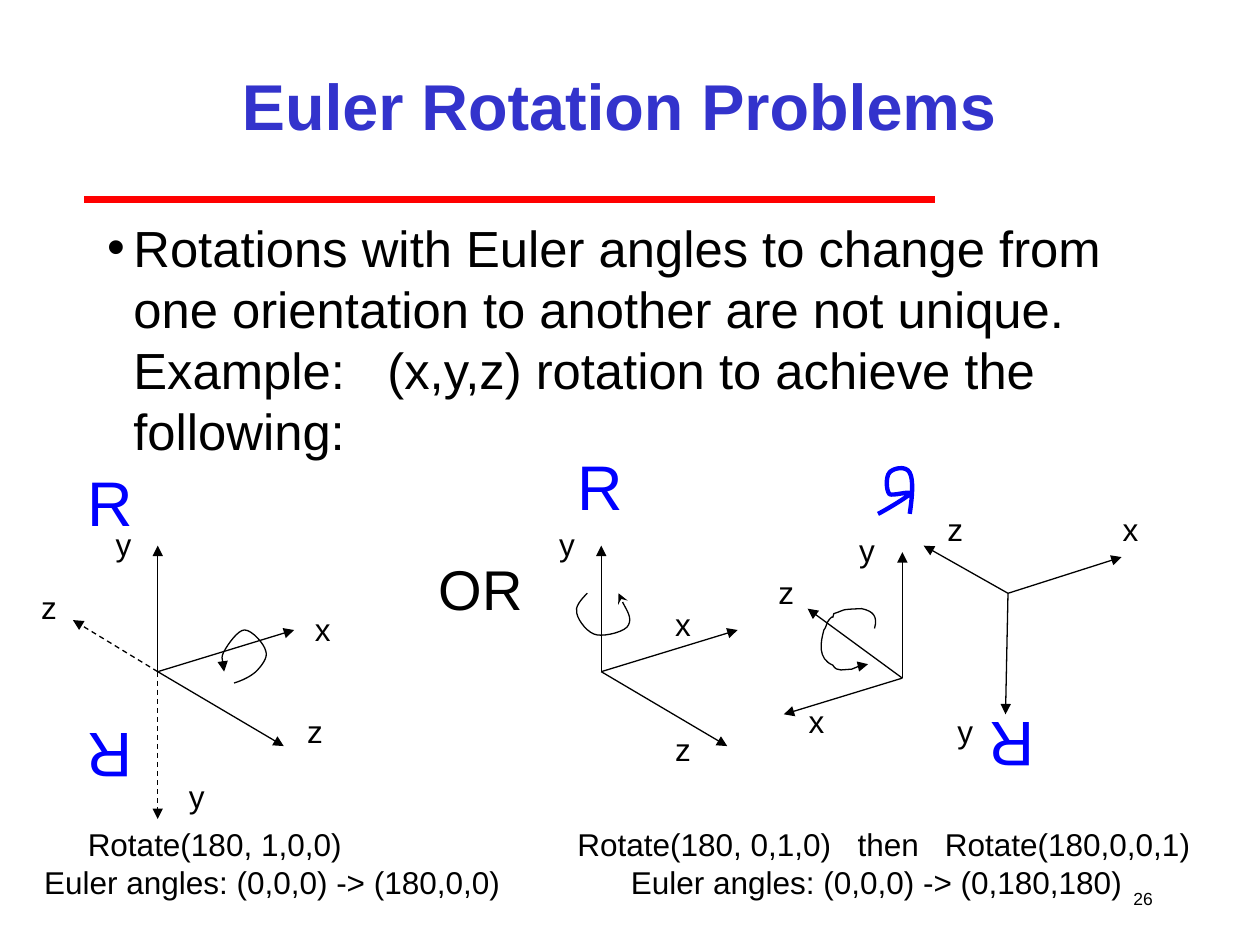
from lxml import etree
from pptx import Presentation
from pptx.dml.color import RGBColor
from pptx.enum.dml import MSO_LINE
from pptx.enum.shapes import MSO_CONNECTOR
from pptx.enum.text import MSO_ANCHOR, MSO_AUTO_SIZE, PP_ALIGN
from pptx.oxml.ns import qn
from pptx.util import Cm, Pt

STRAIGHT = MSO_CONNECTOR.STRAIGHT
DASH = MSO_LINE.DASH
TOP, MIDDLE = MSO_ANCHOR.TOP, MSO_ANCHOR.MIDDLE
LEFT, CENTER, RIGHT = PP_ALIGN.LEFT, PP_ALIGN.CENTER, PP_ALIGN.RIGHT
GROW = MSO_AUTO_SIZE.SHAPE_TO_FIT_TEXT
INK = {"black": "000000", "title": "3333CC", "red": "FF0000", "blue": "0000FF"}


class Deck:
    font = "Arial"
    thin = 0.75

    def __init__(self, slide):
        self.slide = slide
        self.shapes = slide.shapes

    def text(self, box, text, size, ink="black", bold=False,
             align=LEFT, anchor=TOP, wrap=True):
        shape = self.shapes.add_textbox(*map(Cm, box))
        frame = shape.text_frame
        frame.text = text
        frame.word_wrap = wrap
        frame.vertical_anchor = anchor
        for para in frame.paragraphs:
            para.alignment = align
            for run in para.runs:
                run.font.name = self.font
                run.font.size = Pt(size)
                run.font.bold = bold
                run.font.color.rgb = RGBColor.from_string(INK[ink])
        return shape

    def label(self, text, x, y, wide=0.81, high=1.02, size=18,
              ink="black", turn=0):
        shape = self.text((x, y, wide, high), text, size, ink, wrap=False)
        shape.text_frame.auto_size = GROW
        shape.rotation = turn

    def tabs(self, para, stops):
        props = para._p.get_or_add_pPr()
        tabs = etree.SubElement(props, qn("a:tabLst"))
        for stop in stops:
            etree.SubElement(tabs, qn("a:tab"), pos=str(Cm(stop)), algn="l")

    def bullet(self, para, indent):
        props = para._p.get_or_add_pPr()
        props.set("marL", str(Cm(indent)))
        props.set("indent", str(-Cm(indent)))
        etree.SubElement(props, qn("a:buFont"), typeface=self.font)
        etree.SubElement(props, qn("a:buChar"), char="•")

    def stroke(self, shape, ink, width, head=None, dash=None):
        shape.line.color.rgb = RGBColor.from_string(INK[ink])
        shape.line.width = Pt(width)
        if dash:
            shape.line.dash_style = dash
        if head:
            line = shape.element.spPr.find(qn("a:ln"))
            etree.SubElement(line, qn("a:tailEnd"), type=head)

    def line(self, start, end, ink="black", width=thin, head=None, dash=None):
        shape = self.shapes.add_connector(STRAIGHT, *map(Cm, start + end))
        self.stroke(shape, ink, width, head, dash)
        etree.SubElement(shape.element.spPr, qn("a:effectLst"))

    def axes(self, start, tips, dash=None):
        for tip in tips:
            self.line(start, tip, head="triangle", dash=dash)

    def curve(self, points, ink="black", width=thin, head=None):
        first, *rest = [(Cm(x), Cm(y)) for x, y in points]
        maker = self.shapes.build_freeform(*first)
        maker.add_line_segments(rest, close=False)
        shape = maker.convert_to_shape()
        route = shape.element.find(".//" + qn("a:path"))
        steps = list(route)[1:]
        for i in range(0, len(steps), 3):
            cubic = etree.SubElement(route, qn("a:cubicBezTo"))
            for step in steps[i:i + 3]:
                cubic.append(step[0])
                route.remove(step)
        shape.fill.background()
        shape.shadow.inherit = False
        self.stroke(shape, ink, width, head)


def main():
    show = Presentation()
    show.slide_width, show.slide_height = Cm(25.4), Cm(19.05)
    deck = Deck(show.slides.add_slide(show.slide_layouts[6]))

    deck.line((1.7, 4.02), (18.85, 4.02), "red", 4)
    deck.text((20.75, 17.58, 2.74, 1.07), "26", 10,
              align=RIGHT, anchor=MIDDLE)
    deck.text((3.81, 0.62, 17.35, 2.97), "Euler Rotation Problems", 37,
              "title", True, CENTER, MIDDLE)

    body = deck.text(
        (1.91, 4.25, 21.59, 6.32),
        "Rotations with Euler angles to change from one orientation to "
        "another are not unique. Example:\t(x,y,z) rotation to achieve "
        "the following:", 29)
    para = body.text_frame.paragraphs[0]
    deck.bullet(para, 0.53)
    deck.tabs(para, [5.65])

    notes = deck.text(
        (0.64, 16.51, 23.9, 1.78),
        "\tRotate(180, 1,0,0)\tRotate(180, 0,1,0)\tthen\tRotate(180,0,0,1)\n"
        "Euler angles: (0,0,0) -> (180,0,0)\t"
        "Euler angles: (0,0,0) -> (0,180,180)", 18)
    stops = [[0.88, 10.75, 16.4, 18.16], [11.83]]
    for para, row in zip(notes.text_frame.paragraphs, stops):
        deck.tabs(para, row)

    for x in (3.18, 12.12):
        deck.axes((x, 13.54), [(x + 2.75, 12.7), (x, 11), (x + 2.54, 15.04)])
    deck.axes((3.18, 13.54), [(3.18, 16.51), (1.47, 12.5)], DASH)
    deck.axes((18.19, 13.67), [(15.8, 14.4), (18.19, 11.13), (16.28, 12.27)])
    deck.axes((20.32, 11.96), [(22.61, 11.23), (20.27, 14.4), (18.62, 11)])

    marks = {
        "x": [(6.1, 12.17), (13.36, 12.07), (16.05, 14.02), (22.38, 10.16)],
        "y": [(2.08, 10.46), (11.02, 10.46), (17.07, 10.59), (19.05, 14.22),
              (3.56, 15.54)],
        "z": [(5.94, 14.22), (0.58, 11.73), (13.36, 14.6), (15.44, 11.43),
              (18.85, 10.16)],
    }
    for name, spots in marks.items():
        for x, y in spots:
            deck.label(name, x, y)
    for x, y, turn in [(1.52, 9.22, 0), (1.5, 14.4, 180),
                       (11.4, 8.89, 0), (19.69, 14.17, 180)]:
        deck.label("R", x, y, 1.42, 1.78, 36, "blue", turn)
    deck.label("OR", 8.59, 11.05, 2.4, 1.63, 32)

    deck.curve([
        (4.72, 13.77), (4.88, 13.72), (5.05, 13.64), (5.16, 13.54),
        (5.26, 13.44), (5.41, 13.26), (5.36, 13.13), (5.33, 12.98),
        (5.08, 12.7), (4.93, 12.7), (4.8, 12.7), (4.6, 12.98),
        (4.52, 13.13), (4.45, 13.26), (4.52, 13.49), (4.52, 13.54),
    ], head="triangle")
    deck.curve([
        (11.84, 11.96), (11.71, 12.09), (11.58, 12.24), (11.63, 12.37),
        (11.66, 12.52), (11.86, 12.78), (12.04, 12.8), (12.22, 12.83),
        (12.62, 12.73), (12.67, 12.6), (12.75, 12.45), (12.5, 12.07),
        (12.47, 11.96),
    ], head="stealth")
    deck.curve([
        (18.34, 10.36), (18.39, 10.01), (18.42, 9.68), (18.34, 9.53),
        (18.26, 9.37), (17.98, 9.45), (17.93, 9.53), (17.86, 9.6),
        (17.86, 9.88), (17.93, 9.96), (17.98, 10.01), (18.39, 9.88),
        (18.34, 9.96), (18.31, 10.01), (17.81, 10.31), (17.7, 10.36),
    ], "blue", 2.5)
    deck.curve([
        (17.63, 12.67), (17.7, 12.42), (17.6, 12.32), (17.37, 12.27),
        (16.89, 12.29), (17.07, 12.29), (16.81, 12.37), (16.76, 12.55),
        (16.84, 12.34), (16.71, 12.5), (16.66, 12.55), (16.66, 12.65),
        (16.61, 12.7), (16.54, 12.95), (16.48, 13.28), (16.79, 13.41),
        (16.87, 13.56), (17.02, 13.49), (17.17, 13.49), (17.3, 13.44),
        (17.37, 13.39), (17.5, 13.39),
    ], head="triangle")

    show.save("out.pptx")


if __name__ == "__main__":
    main()
